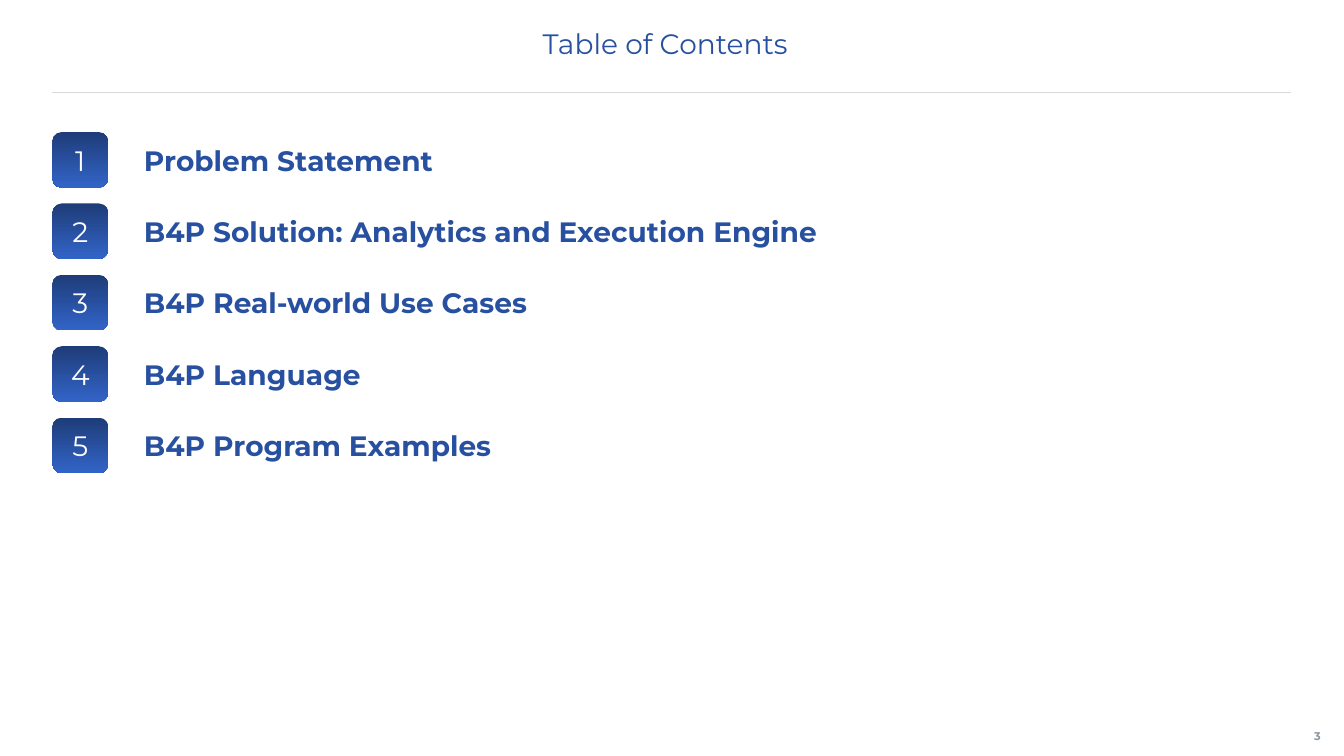
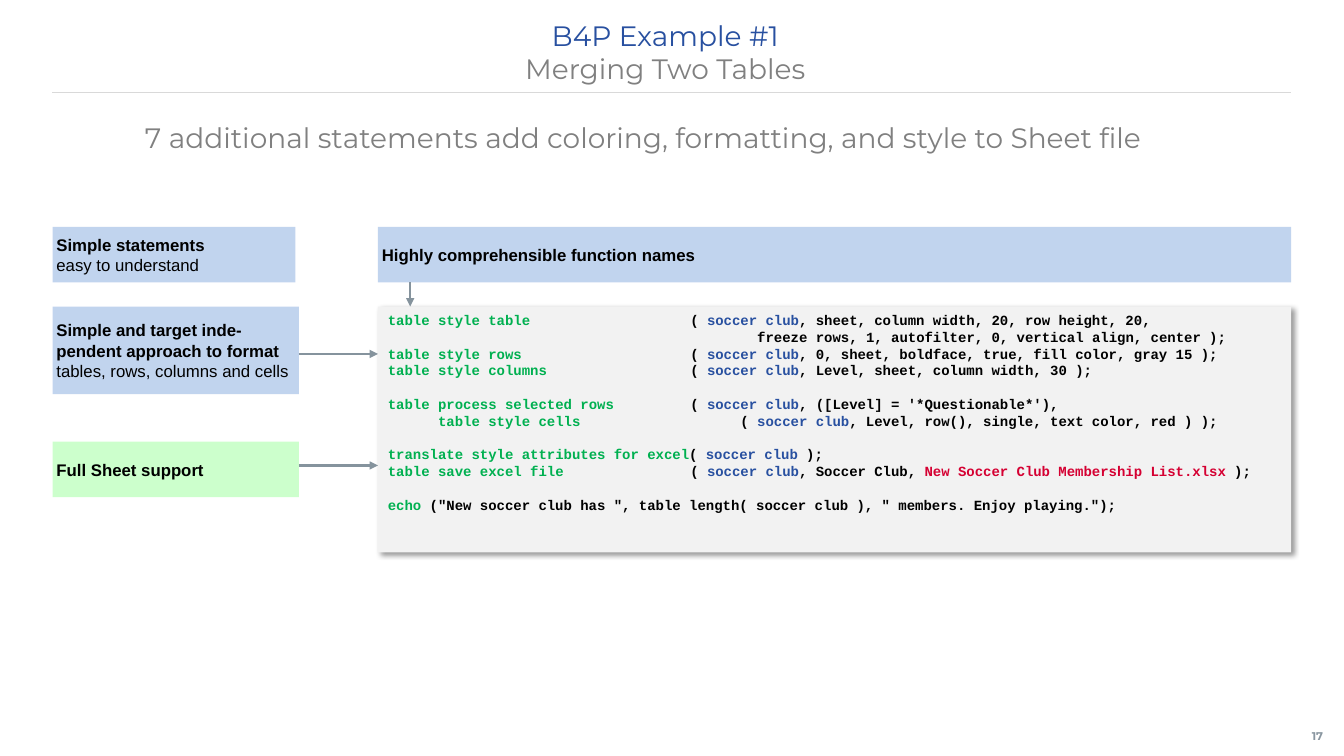
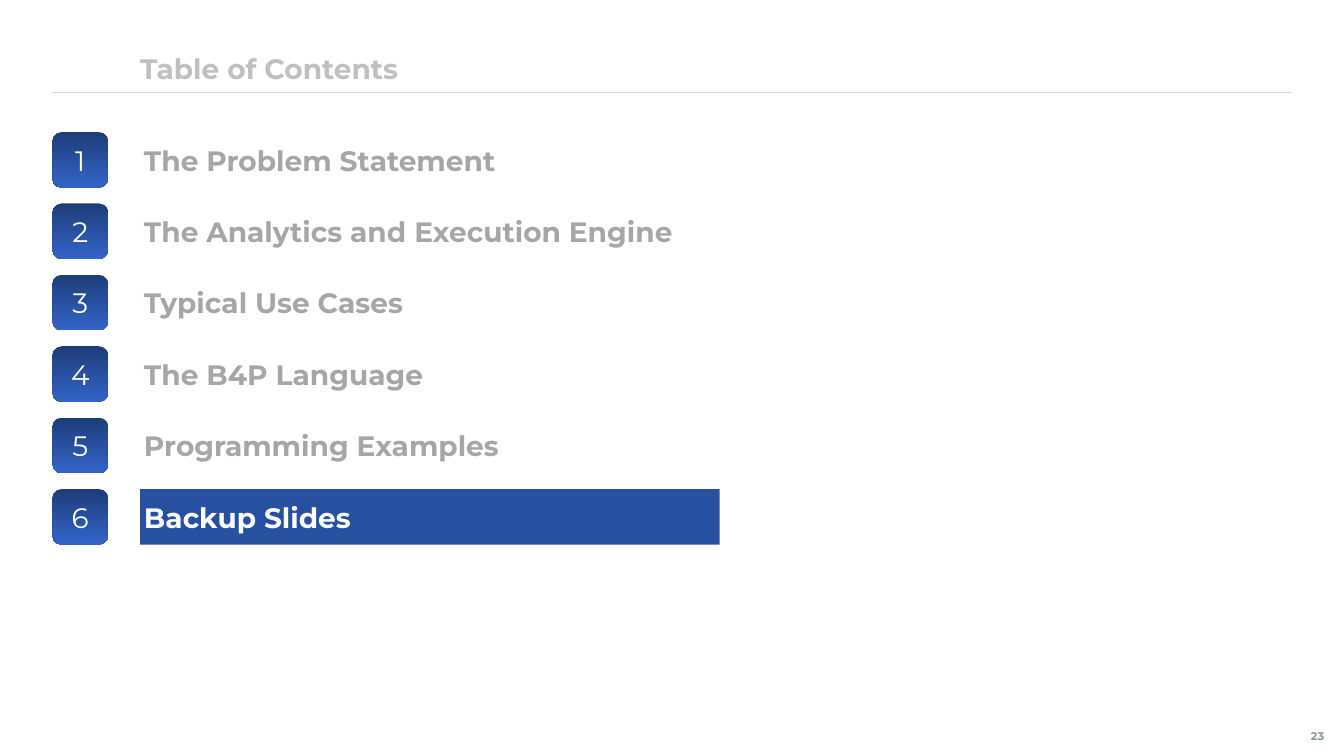
from dataclasses import dataclass
from typing import NamedTuple, Optional, Sequence

from pptx import Presentation
from pptx.dml.color import RGBColor
from pptx.enum.shapes import MSO_CONNECTOR, MSO_SHAPE
from pptx.enum.text import MSO_ANCHOR, MSO_AUTO_SIZE, PP_ALIGN
from pptx.oxml import parse_xml
from pptx.oxml.ns import nsdecls, qn
from pptx.oxml.xmlchemy import OxmlElement
from pptx.util import Pt

COLORS = {
    "blue": "2850A0",
    "badge_top": "1E3C78",
    "badge_bottom": "3264C8",
    "white": "FFFFFF",
    "black": "000000",
    "rule": "D9D9D9",
    "page": "8996A0",
    "gray": "808080",
    "muted": "A6A6A6",
    "faint": "BFBFBF",
    "note": "C1D4EE",
    "support": "CCFFCC",
    "arrow": "85939D",
    "panel": "F2F2F2",
    "green": "00B050",
    "red": "D50032",
}
HEAD_FONT, NOTE_FONT, CODE_FONT = "Montserrat", "Arial", "Courier New"

LEFT, RIGHT = 37.5, 922.3
RULE_Y = 66.3
ROW_TOP, ROW_STEP, ROW_H = 94.3, 51, 39.7
LABEL_X = 100
CODE_X, CODE_Y, NOTE_Y = 270, 219, 162
CODE_LINE, CODE_TAB = 12, 216

SNUG = (2.8, 2.8, 2.8, 2.8)
TITLE_INSETS = (0, 3.6, 7.2, 3.6)
PAGE_INSETS = (0, 3.6, 5.8, 3.6)
PANEL_INSETS = (7.2, 3.6, 7.2, 3.6)


class Box(NamedTuple):
    left: float
    top: float
    width: float
    height: float


class Run(NamedTuple):
    text: str
    color: str = "black"
    bold: bool = False


class Style(NamedTuple):
    font: str
    size: float
    align: PP_ALIGN = PP_ALIGN.LEFT
    anchor: MSO_ANCHOR = MSO_ANCHOR.MIDDLE
    insets: tuple = SNUG


class Arrow(NamedTuple):
    x1: float
    y1: float
    x2: float
    y2: float


@dataclass
class Note:
    box: Box
    paragraphs: Sequence[Sequence[Run]]
    fill: str = "note"


@dataclass
class CodeLine:
    runs: Sequence[Run]
    gap_before: bool = False


HEADING = Style(HEAD_FONT, 20, PP_ALIGN.CENTER, MSO_ANCHOR.TOP, TITLE_INSETS)
ENTRY = Style(HEAD_FONT, 20)
BADGE = ENTRY._replace(align=PP_ALIGN.CENTER)
PAGE = Style(HEAD_FONT, 8, PP_ALIGN.CENTER, insets=PAGE_INSETS)
NOTE = Style(NOTE_FONT, 12)
CODE = Style(CODE_FONT, 10, anchor=MSO_ANCHOR.TOP, insets=PANEL_INSETS)


def rgb(name: str) -> RGBColor:
    return RGBColor.from_string(COLORS[name])


def pts(values: Sequence[float]) -> list:
    return [Pt(v) for v in values]


def set_frame(tf, style: Style) -> None:
    tf.word_wrap = True
    tf.auto_size = MSO_AUTO_SIZE.NONE
    tf.vertical_anchor = style.anchor
    tf.margin_left, tf.margin_top, tf.margin_right, tf.margin_bottom = pts(style.insets)


def add_run(p, run: Run, style: Style) -> None:
    r = p.add_run()
    r.text = run.text
    r.font.name = style.font
    r.font.size = Pt(style.size)
    r.font.bold = run.bold
    r.font.color.rgb = rgb(run.color)


def write(tf, paragraphs: Sequence[Sequence[Run]], style: Style) -> None:
    set_frame(tf, style)
    for i, runs in enumerate(paragraphs):
        p = tf.add_paragraph() if i else tf.paragraphs[0]
        p.alignment = style.align
        for run in runs:
            add_run(p, run, style)


def add_text(s, box: Box, run: Run, style: Style) -> None:
    write(s.shapes.add_textbox(*pts(box)).text_frame, [[run]], style)


def add_block(s, box: Box, fill: Optional[str], kind=MSO_SHAPE.RECTANGLE):
    """Add a shape without line or shadow; fill=None leaves the fill to the caller."""
    sp = s.shapes.add_shape(kind, *pts(box))
    sp.shadow.inherit = False
    sp.line.fill.background()
    if fill:
        sp.fill.solid()
        sp.fill.fore_color.rgb = rgb(fill)
    return sp


def add_line(s, ends: Arrow, color: str, width: float, head: bool = False) -> None:
    c = s.shapes.add_connector(MSO_CONNECTOR.STRAIGHT, *pts(ends))
    c.line.color.rgb = rgb(color)
    c.line.width = Pt(width)
    if head:
        tail = OxmlElement("a:tailEnd")
        tail.set("type", "triangle")
        c.element.spPr.find(qn("a:ln")).append(tail)
    c.element.spPr.append(OxmlElement("a:effectLst"))


def add_drop_shadow(sp) -> None:
    effects = sp.element.spPr.find(qn("a:effectLst"))
    effects.append(parse_xml(
        f'<a:outerShdw {nsdecls("a")} blurRad="{Pt(4)}" dist="{Pt(3)}" dir="2700000" '
        f'algn="tl" rotWithShape="0"><a:srgbClr val="{COLORS["black"]}">'
        '<a:alpha val="40000"/></a:srgbClr></a:outerShdw>'))


def new_slide(prs, page: int, title: Sequence[Run], box: Box, style: Style = HEADING):
    """Add a slide with its title lines, the rule below them and the page number."""
    s = prs.slides.add_slide(prs.slide_layouts[5])
    sp = s.shapes.title
    sp.left, sp.top, sp.width, sp.height = pts(box)
    set_frame(sp.text_frame, style)
    p = sp.text_frame.paragraphs[0]
    p.alignment = style.align
    for i, run in enumerate(title):
        if i:
            p.add_line_break()
        add_run(p, run, style)
    add_line(s, Arrow(LEFT, RULE_Y, RIGHT, RULE_Y), "rule", 1)
    add_text(s, Box(928, 512, 32, 28), Run(str(page), "page", True), PAGE)
    return s


def add_contents(s, entries: Sequence[str], color: str, width: float,
                 active: Optional[str] = None) -> None:
    for i, entry in enumerate(entries):
        top = ROW_TOP + i * ROW_STEP
        if entry == active:
            sp = add_block(s, Box(LABEL_X, top, 414, ROW_H), "blue")
            write(sp.text_frame, [[Run(entry, "white", True)]], ENTRY)
        else:
            add_text(s, Box(LABEL_X, top, width, ROW_H), Run(entry, color, True), ENTRY)
        badge = add_block(s, Box(LEFT, top, ROW_H, ROW_H), None,
                          MSO_SHAPE.ROUNDED_RECTANGLE)
        badge.fill.gradient()
        badge.fill.gradient_angle = 270
        for stop, name in zip(badge.fill.gradient_stops, ("badge_top", "badge_bottom")):
            stop.color.rgb = rgb(name)
        write(badge.text_frame, [[Run(str(i + 1), "white")]], BADGE)


def add_code(s, box: Box, lines: Sequence[CodeLine]) -> None:
    sp = add_block(s, box, "panel")
    add_drop_shadow(sp)
    write(sp.text_frame, [line.runs for line in lines], CODE)
    for p, line in zip(sp.text_frame.paragraphs, lines):
        p.line_spacing = Pt(CODE_LINE)
        if line.gap_before:
            p.space_before = Pt(CODE_LINE)
        tabs = OxmlElement("a:tabLst")
        tab = OxmlElement("a:tab")
        tab.set("pos", str(Pt(CODE_TAB)))
        tab.set("algn", "l")
        tabs.append(tab)
        p._p.get_or_add_pPr().append(tabs)


def plain(text: str) -> Run:
    return Run(text, "black", True)


def keyword(text: str) -> Run:
    return Run(text, "green", True)


def call(name: str, rest: str, opening: str = "\t( ", gap: bool = False) -> CodeLine:
    """A statement whose first argument is the soccer club table."""
    return CodeLine([keyword(name), plain(opening), Run("soccer club", "blue", True),
                     plain(rest)], gap)


CODE_LINES = [
    call("table style table", ", sheet, column width, 20, row height, 20,"),
    CodeLine([plain("\t        freeze rows, 1, autofilter, 0, vertical align, center );")]),
    call("table style rows", ", 0, sheet, boldface, true, fill color, gray 15 );"),
    call("table style columns", ", Level, sheet, column width, 30 );"),
    call("table process selected rows", ", ([Level] = '*Questionable*'),", gap=True),
    call("      table style cells", ", Level, row(), single, text color, red ) );",
         "\t      ( "),
    call("translate style attributes for excel", " );", "( ", gap=True),
    call("table save excel file", ", Soccer Club, "),
    CodeLine([keyword("echo "),
              plain('("New soccer club has ", table length( soccer club ), '
                    '" members. Enjoy playing.");')], True),
]
CODE_LINES[7].runs += [Run("New Soccer Club Membership List.xlsx", "red", True),
                       plain(" );")]

NOTES = [
    Note(Box(LEFT, NOTE_Y, 173.5, ROW_H),
         [[plain("Simple statements")], [Run("easy to understand")]]),
    Note(Box(CODE_X, NOTE_Y, RIGHT - CODE_X, ROW_H),
         [[plain("Highly comprehensible function names")]]),
    Note(Box(LEFT, CODE_Y, 176, 62.5),
         [[plain("Simple and target inde-pendent approach to format "),
           Run("tables, rows, columns and cells")]]),
    Note(Box(LEFT, 315.4, 176, ROW_H), [[plain("Full Sheet support")]], "support"),
]
ARROWS = [
    Arrow(213.5, 332.5, CODE_X, 332.5),
    Arrow(293, NOTE_Y + ROW_H, 293, CODE_Y),
    Arrow(213.5, 252.8, CODE_X, 252.8),
]


def build_contents(prs) -> None:
    s = new_slide(prs, 3, [Run("Table of Contents", "blue")], Box(36.7, 15.1, 884.2, 57))
    add_contents(s, ["Problem Statement", "B4P Solution: Analytics and Execution Engine",
                     "B4P Real-world Use Cases", "B4P Language", "B4P Program Examples"],
                 "blue", 680)


def build_example(prs) -> None:
    s = new_slide(prs, 17, [Run("B4P Example #1", "blue"),
                            Run("Merging Two Tables", "gray")],
                  Box(36.7, 9.4, 884.2, 57))
    add_text(s, Box(20.9, 82.8, 884.2, 45.4),
             Run("7 additional statements add coloring, formatting, and style to Sheet file",
                 "gray"), HEADING)
    for note in NOTES:
        write(add_block(s, note.box, note.fill).text_frame, note.paragraphs, NOTE)
    add_code(s, Box(CODE_X, CODE_Y, RIGHT - CODE_X, 175.7), CODE_LINES)
    for arrow in ARROWS:
        add_line(s, arrow, "arrow", 1.5, head=True)


def build_backup(prs) -> None:
    s = new_slide(prs, 23, [Run("Table of Contents", "faint", True)],
                  Box(97.2, 29, 504.7, ROW_H), ENTRY)
    add_contents(s, ["The Problem Statement", "The Analytics and Execution Engine",
                     "Typical Use Cases", "The B4P Language", "Programming Examples",
                     "Backup Slides"],
                 "muted", RIGHT - LABEL_X, active="Backup Slides")


def main() -> None:
    prs = Presentation()
    prs.slide_width, prs.slide_height = Pt(960), Pt(540)
    build_contents(prs)
    build_example(prs)
    build_backup(prs)
    prs.save("out.pptx")


if __name__ == "__main__":
    main()
